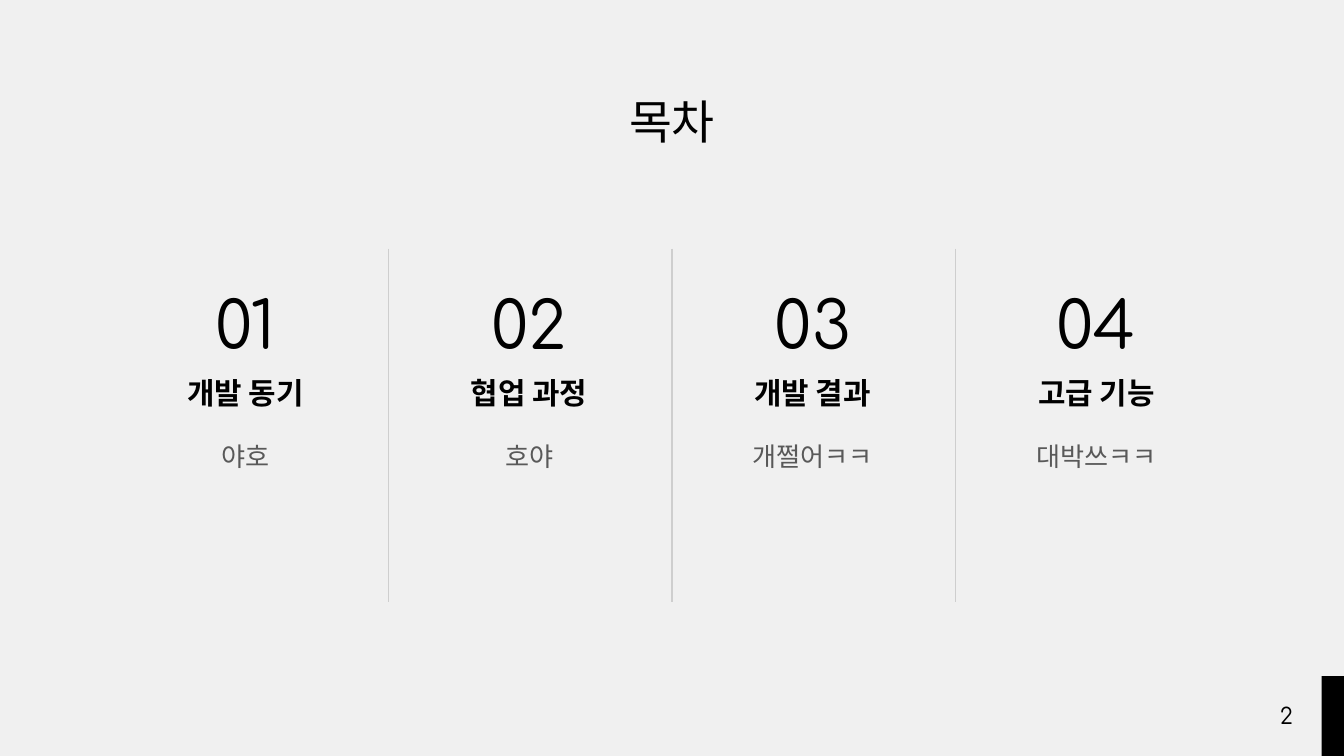
import pptx
import pptx.dml.color
import pptx.enum.shapes
import pptx.enum.text
import pptx.oxml.ns
import pptx.util
from lxml import etree
from pptx.util import Cm

KOREAN = "Noto Sans CJK KR"
LATIN = "Comfortaa"
TOP = pptx.enum.text.MSO_ANCHOR.TOP
MIDDLE = pptx.enum.text.MSO_ANCHOR.MIDDLE

TITLE = {"size": 25, "name": KOREAN, "color": "000000", "bold": False}
NUMBER = {"size": 35, "name": LATIN, "color": "000000", "bold": False}
HEADING = {"size": 16, "name": KOREAN, "color": "000000", "bold": True}
DETAIL = {"size": 14, "name": KOREAN, "color": "595959", "bold": False}
PAGE = {"size": 12, "name": LATIN, "color": "000000", "bold": False}

SECTIONS = [
    ("01", "개발 동기", "야호"),
    ("02", "협업 과정", "호야"),
    ("03", "개발 결과", "개쩔어ㅋㅋ"),
    ("04", "고급 기능", "대박쓰ㅋㅋ"),
]
ROWS = [
    (5.84, 0.53, MIDDLE, NUMBER),
    (7.16, 0.53, MIDDLE, HEADING),
    (8.08, 2.13, TOP, DETAIL),
]
COLUMN_LEFT, COLUMN_PITCH, COLUMN_WIDTH = 2, 5.36, 5.28
DIVIDER_LEFT, DIVIDER_TOP, DIVIDER_BOTTOM = 7.34, 4.7, 11.38


def rgb(value):
    return pptx.dml.color.RGBColor.from_string(value)


def format_font(font, style):
    values = {**style, "size": pptx.util.Pt(style["size"])}
    font.color.rgb = rgb(values.pop("color"))
    for attribute, value in values.items():
        setattr(font, attribute, value)


def write_text(shape, text, style, anchor):
    frame = shape.text_frame
    settings = {
        "word_wrap": True,
        "auto_size": pptx.enum.text.MSO_AUTO_SIZE.NONE,
        "vertical_anchor": anchor,
    }
    for side in ("left", "right", "top", "bottom"):
        settings[f"margin_{side}"] = Cm(0.25)
    for attribute, value in settings.items():
        setattr(frame, attribute, value)
    paragraph = frame.paragraphs[0]
    paragraph.alignment = pptx.enum.text.PP_ALIGN.CENTER
    run = paragraph.add_run()
    run.text = text
    format_font(run.font, style)
    east_asian = etree.SubElement(run.font._element, pptx.oxml.ns.qn("a:ea"))
    east_asian.set("typeface", style["name"])


def add_title(slide, text):
    shape = slide.shapes.title
    box = {"left": 1.98, "top": 1.5, "width": 21.44, "height": 1.32}
    for attribute, value in box.items():
        setattr(shape, attribute, Cm(value))
    write_text(shape, text, TITLE, TOP)


def add_text(slide, left, top, width, height, text, style, anchor):
    shape = slide.shapes.add_textbox(Cm(left), Cm(top), Cm(width), Cm(height))
    write_text(shape, text, style, anchor)


def add_divider(slide, left):
    line = slide.shapes.add_connector(
        pptx.enum.shapes.MSO_CONNECTOR.STRAIGHT,
        Cm(left), Cm(DIVIDER_TOP), Cm(left), Cm(DIVIDER_BOTTOM),
    )
    line.line.color.rgb = rgb("CECECE")
    line.line.width = pptx.util.Pt(0.75)
    etree.SubElement(line._element.spPr, pptx.oxml.ns.qn("a:effectLst"))


def add_corner_bar(slide):
    shape = slide.shapes.add_shape(
        pptx.enum.shapes.MSO_SHAPE.RECTANGLE,
        Cm(24.98), Cm(12.78), Cm(0.42), Cm(1.51),
    )
    shape.shadow.inherit = False
    shape.fill.solid()
    shape.fill.fore_color.rgb = rgb("000000")
    shape.line.fill.background()


def main():
    presentation = pptx.Presentation()
    presentation.slide_width = Cm(25.4)
    presentation.slide_height = Cm(14.29)
    slide = presentation.slides.add_slide(presentation.slide_layouts[5])
    slide.background.fill.solid()
    slide.background.fill.fore_color.rgb = rgb("F0F0F0")

    add_corner_bar(slide)
    add_title(slide, "목차")
    for column, texts in enumerate(SECTIONS):
        left = COLUMN_LEFT + column * COLUMN_PITCH
        for text, (top, height, anchor, style) in zip(texts, ROWS):
            add_text(slide, left, top, COLUMN_WIDTH, height, text, style, anchor)
    for gap in range(len(SECTIONS) - 1):
        add_divider(slide, DIVIDER_LEFT + gap * COLUMN_PITCH)
    add_text(slide, 23.55, 12.98, 1.52, 1.09, "2", PAGE, MIDDLE)

    presentation.save("out.pptx")


if __name__ == "__main__":
    main()
